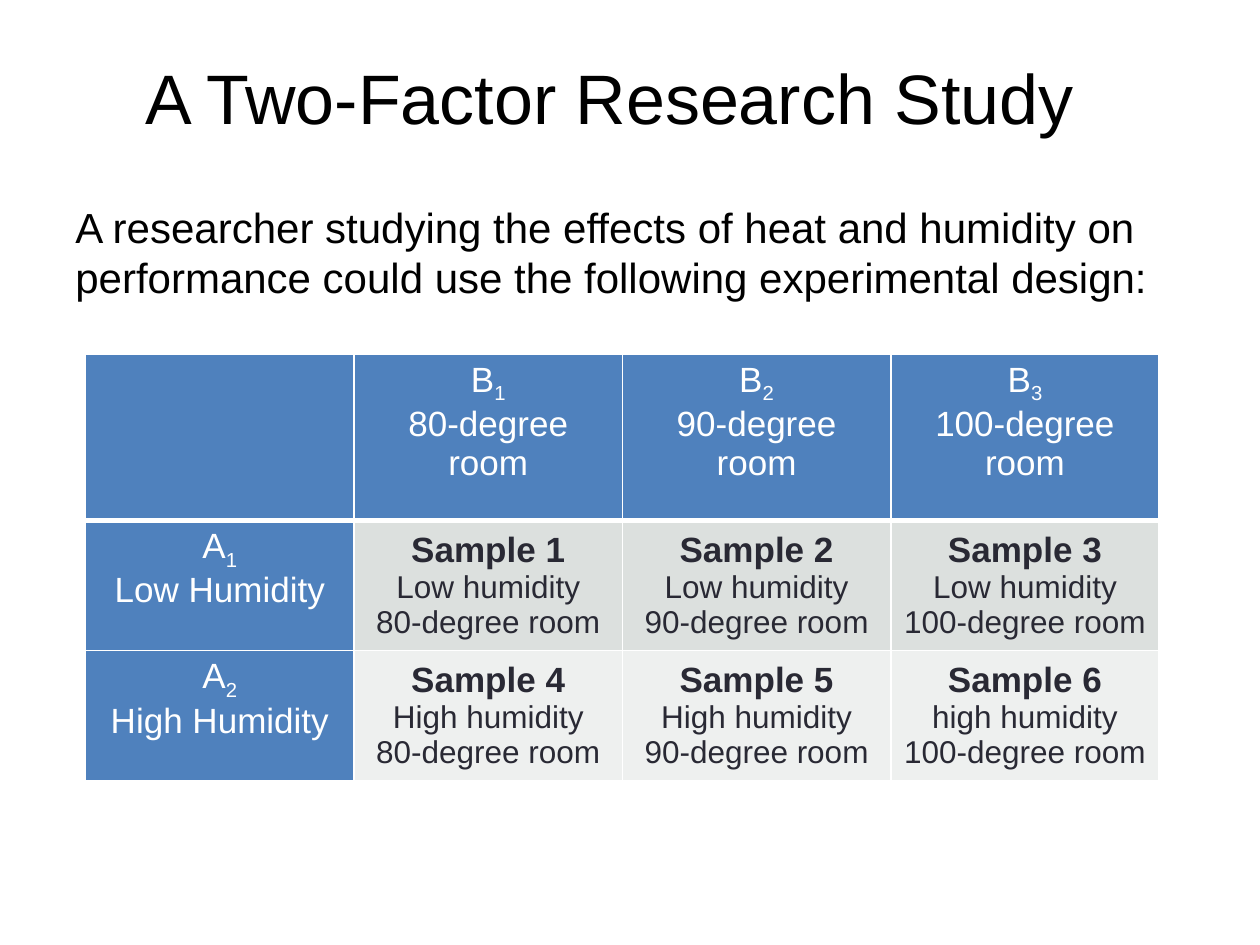
import pptx
import pptx.util
import pptx.dml.color
import pptx.enum.text
import pptx.oxml
import pptx.oxml.ns

Inches, Pt = pptx.util.Inches, pptx.util.Pt
RGB = pptx.dml.color.RGBColor.from_string
ALIGN, ANCHOR = pptx.enum.text.PP_ALIGN, pptx.enum.text.MSO_ANCHOR

# Content
TITLE = "A Two-Factor Research Study "
INTRO = ("A researcher studying the effects of heat and humidity on "
         "performance could use the following experimental design:")
HEAT = ["80-degree room", "90-degree room", "100-degree room"]
HUMID = ["Low Humidity", "High Humidity"]
SAMPLES = [
    ["Low humidity", "Low humidity", "Low humidity"],
    ["High humidity", "High humidity", "high humidity"],
]

THEME = {
    "font": "Arial", "ink": "000000", "head": "4F81BD", "light": "FFFFFF",
    "dark": "292934", "bands": ["DCE0DE", "EEF0EF"],
    "title": 40, "intro": 24, "label": 20, "note": 18,
}
COL, ROWS = 2.13, [1.32, 1.03, 1.03]


def style(para, size, color, bold=False, align=ALIGN.CENTER):
    para.alignment = align
    font = para.font
    font.name, font.size, font.bold = THEME["font"], Pt(size), bold
    font.color.rgb = RGB(color)


def add_text(slide, box, text, size, align, anchor):
    frame = slide.shapes.add_textbox(*map(Inches, box)).text_frame
    frame.word_wrap = True
    frame.vertical_anchor = anchor
    para = frame.paragraphs[0]
    para.text = text
    style(para, size, THEME["ink"], align=align)


def paint(cell, color, top=1, bottom=1):
    """Fill a cell and give it white borders."""
    cell.fill.solid()
    cell.fill.fore_color.rgb = RGB(color)
    props = cell._tc.get_or_add_tcPr()
    sides = [("L", 1), ("R", 1), ("T", top), ("B", bottom)]
    for spot, (side, width) in enumerate(sides):
        props.insert(spot, pptx.oxml.parse_xml(
            f'<a:ln{side} {pptx.oxml.ns.nsdecls("a")} w="{Pt(width)}">'
            f'<a:solidFill><a:srgbClr val="{THEME["light"]}"/></a:solidFill>'
            f'</a:ln{side}>'))


def add_label(cell, factor, level, text):
    """Write a factor letter with its subscript, then the level name."""
    para = cell.text_frame.paragraphs[0]
    style(para, THEME["label"], THEME["light"])
    para.add_run().text = factor
    sub = para.add_run()
    sub.text = str(level)
    sub._r.get_or_add_rPr().set("baseline", "-25000")
    para.add_line_break()
    para.add_run().text = text


def add_sample(cell, name, note):
    cell.vertical_anchor = ANCHOR.MIDDLE
    frame = cell.text_frame
    para = frame.paragraphs[0]
    para.text = name
    style(para, THEME["label"], THEME["dark"], bold=True)
    para = frame.add_paragraph()
    para.text = note
    style(para, THEME["note"], THEME["dark"])


def add_design(slide):
    cols = len(HEAT) + 1
    table = slide.shapes.add_table(
        len(ROWS), cols, Inches(0.68), Inches(2.81),
        Inches(COL * cols), Inches(sum(ROWS))).table
    for col in table.columns:
        col.width = Inches(COL)
    for row, height in zip(table.rows, ROWS):
        row.height = Inches(height)

    # Header row
    for c in range(cols):
        cell = table.cell(0, c)
        paint(cell, THEME["head"], bottom=3)
        if c:
            add_label(cell, "B", c, HEAT[c - 1])

    # Humidity rows
    for r, (humid, notes) in enumerate(zip(HUMID, SAMPLES), 1):
        top = 3 if r == 1 else 1
        cell = table.cell(r, 0)
        paint(cell, THEME["head"], top)
        add_label(cell, "A", r, humid)
        for c, (note, heat) in enumerate(zip(notes, HEAT), 1):
            cell = table.cell(r, c)
            paint(cell, THEME["bands"][r - 1], top)
            number = (r - 1) * len(HEAT) + c
            add_sample(cell, f"Sample {number}", f"{note}\v{heat}")


def main():
    deck = pptx.Presentation()
    deck.slide_width, deck.slide_height = Inches(10), Inches(7.5)
    slide = deck.slides.add_slide(deck.slide_layouts[6])
    add_text(slide, (0.5, 0.17, 8.83, 1.19), TITLE, THEME["title"],
             ALIGN.CENTER, ANCHOR.MIDDLE)
    add_text(slide, (0.5, 1.55, 9.13, 1.99), INTRO, THEME["intro"],
             ALIGN.LEFT, ANCHOR.TOP)
    add_design(slide)
    deck.save("out.pptx")


if __name__ == "__main__":
    main()
